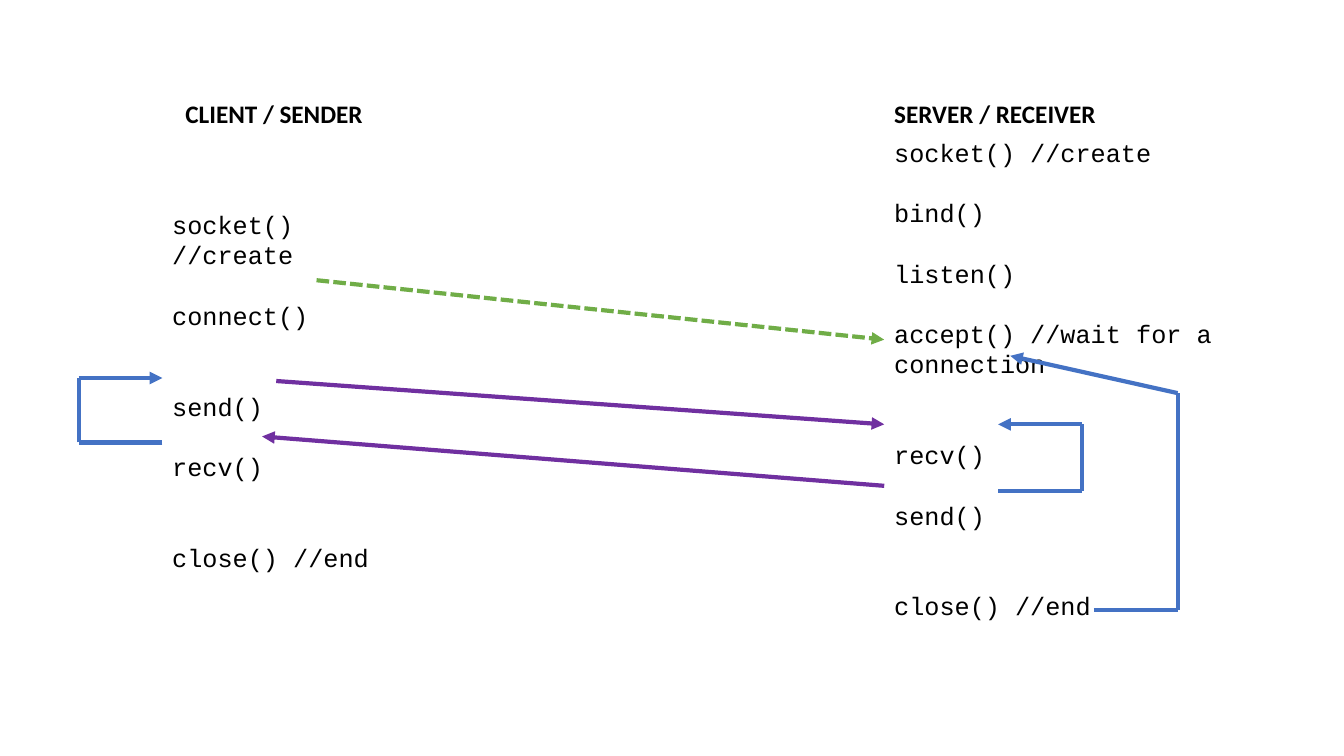
from itertools import pairwise

from lxml import etree
from pptx import Presentation
from pptx.dml.color import RGBColor
from pptx.enum.dml import MSO_LINE
from pptx.enum.shapes import MSO_CONNECTOR
from pptx.oxml.ns import qn
from pptx.util import Pt

STRAIGHT = MSO_CONNECTOR.STRAIGHT
DASH = MSO_LINE.SQUARE_DOT
PX = 9144
SIZE = 18
PITCH = 21.6
COLORS = {"text": "000000", "loop": "4472C4", "data": "7030A0", "link": "70AD47"}

HEADS = [
    ("CLIENT / SENDER", (174, 93, 198, 40)),
    ("SERVER / RECEIVER", (877, 93, 222, 40)),
]
CLIENT = [
    (0, "socket() //create"),
    (1, "connect()"),
    (2, "send()"),
    (1, "recv()"),
    (2, "close() //end"),
]
SERVER = [
    (0, "socket() //create"),
    (1, "bind()"),
    (1, "listen()"),
    (1, "accept() //wait for a connection"),
    (2, "recv()"),
    (1, "send()"),
    (2, "close() //end"),
]
LOOPS = [
    [(161, 439), (78, 439), (78, 375), (161, 375)],
    [(990, 487), (1073, 487), (1073, 421), (990, 421)],
    [(1085, 605), (1168, 605), (1168, 390), (1002, 353)],
]


def color(name):
    """Return the named colour."""
    return RGBColor.from_string(COLORS[name])


def add_box(slide, box, wrap):
    """Add an empty text box and return its frame."""
    frame = slide.shapes.add_textbox(*(n * PX for n in box)).text_frame
    frame.word_wrap = wrap
    return frame


def add_run(para, text, face, bold=False):
    """Add one styled run to a paragraph."""
    run = para.add_run()
    run.text = text
    run.font.name = face
    run.font.size = Pt(SIZE)
    run.font.bold = bold
    run.font.color.rgb = color("text")


def add_head(slide, text, box):
    """Add a bold column heading."""
    add_run(add_box(slide, box, False).paragraphs[0], text, "Calibri", True)


def add_code(slide, calls, box):
    """Add a list of calls, each set off by a number of line heights."""
    frame = add_box(slide, box, True)
    for i, (gap, text) in enumerate(calls):
        para = frame.add_paragraph() if i else frame.paragraphs[0]
        para.line_spacing = Pt(PITCH)
        para.space_before = Pt(gap * PITCH)
        add_run(para, text, "Courier New")


def add_line(slide, start, end, name, arrow=True, dash=None):
    """Add a straight line, with an arrowhead at its end if asked."""
    points = (n * PX for n in (*start, *end))
    link = slide.shapes.add_connector(STRAIGHT, *points)
    link.line.color.rgb = color(name)
    link.line.width = Pt(3)
    if dash:
        link.line.dash_style = dash
    props = link.element.spPr
    if arrow:
        tip = etree.SubElement(props.find(qn("a:ln")), qn("a:tailEnd"))
        tip.set("type", "triangle")
    etree.SubElement(props, qn("a:effectLst"))


def add_loop(slide, points):
    """Add a bent path whose last leg has an arrowhead."""
    for start, end in pairwise(points):
        add_line(slide, start, end, "loop", arrow=end == points[-1])


def main():
    """Build and save the socket call slide."""
    deck = Presentation()
    deck.slide_width, deck.slide_height = 1333 * PX, 750 * PX
    slide = deck.slides.add_slide(deck.slide_layouts[6])
    for text, box in HEADS:
        add_head(slide, text, box)
    add_code(slide, CLIENT, (161, 203, 256, 343))
    add_code(slide, SERVER, (877, 131, 463, 464))
    for points in LOOPS:
        add_loop(slide, points)
    add_line(slide, (274, 378), (877, 421), "data")
    add_line(slide, (877, 482), (260, 433), "data")
    add_line(slide, (314, 278), (877, 337), "link", dash=DASH)
    deck.save("out.pptx")


if __name__ == "__main__":
    main()
